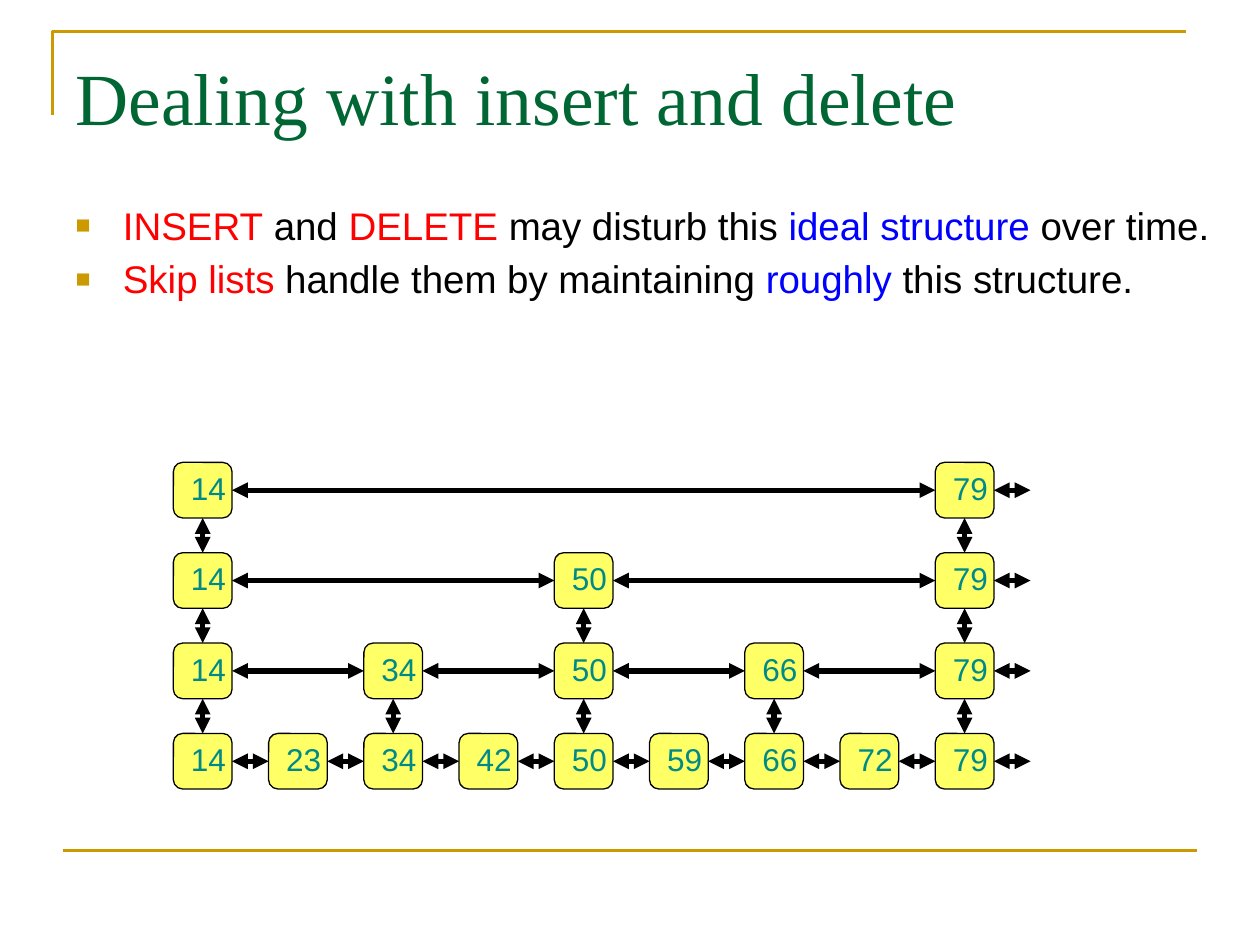
from dataclasses import dataclass

from lxml.etree import SubElement
from pptx import Presentation
from pptx.dml.color import RGBColor
from pptx.enum.shapes import MSO_CONNECTOR, MSO_SHAPE
from pptx.enum.text import MSO_ANCHOR, MSO_AUTO_SIZE, PP_ALIGN
from pptx.oxml.ns import qn
from pptx.shapes.autoshape import Shape
from pptx.shapes.connector import Connector
from pptx.shapes.shapetree import GroupShapes
from pptx.slide import Slide
from pptx.util import Pt

GOLD, GREEN, TEAL, YELLOW = "CC9900", "006633", "008A87", "FFFF66"
BLACK, RED, BLUE = "000000", "FF0000", "0000FF"

# Skip list grid, in points
KEYS = [14, 23, 34, 42, 50, 59, 66, 72, 79]
LEVEL_STRIDES = [8, 4, 2, 1]
GRID_LEFT, GRID_TOP = 99.1, 264.25
COLUMN_STEP, ROW_STEP = 54.42, 51.63
NODE_WIDTH, NODE_HEIGHT = 33.5, 31.75
TAIL_LENGTH = COLUMN_STEP - NODE_WIDTH
TOP, LEFT, BOTTOM, RIGHT = range(4)


@dataclass
class Span:
    text: str
    color: str = BLACK


@dataclass
class Node:
    key: int
    column: int
    row: int

    @property
    def left(self) -> float:
        return GRID_LEFT + self.column * COLUMN_STEP

    @property
    def top(self) -> float:
        return GRID_TOP + self.row * ROW_STEP


BULLETS = [
    [Span("INSERT", RED), Span(" and "), Span("DELETE", RED),
     Span(" may disturb this "), Span("ideal structure", BLUE), Span(" over time.")],
    [Span("Skip lists ", RED), Span("handle them by maintaining "),
     Span("roughly", BLUE), Span(" this structure.")],
]


def rgb(color: str) -> RGBColor:
    return RGBColor.from_string(color)


def add_span(para, span: Span, size: float, font: str = "Arial") -> None:
    run = para.add_run()
    run.text = span.text
    run.font.name, run.font.size = font, Pt(size)
    run.font.color.rgb = rgb(span.color)


def place(box: Shape, left: float, top: float, width: float, height: float) -> None:
    box.left, box.top, box.width, box.height = map(Pt, (left, top, width, height))
    box.text_frame.auto_size = MSO_AUTO_SIZE.NONE


def add_bullet(para) -> None:
    props = para._p.get_or_add_pPr()
    props.set("marL", str(Pt(27)))
    props.set("indent", str(-Pt(27)))
    color = SubElement(props, qn("a:buClr"))
    SubElement(color, qn("a:srgbClr"), val=GOLD)
    SubElement(props, qn("a:buSzPct"), val="65000")
    SubElement(props, qn("a:buFont"), typeface="Arial")
    SubElement(props, qn("a:buChar"), char="■")


def add_line(shapes, start: tuple, end: tuple, color: str, width: float) -> Connector:
    line = shapes.add_connector(MSO_CONNECTOR.STRAIGHT, *map(Pt, start + end))
    line.line.color.rgb = rgb(color)
    line.line.width = Pt(width)
    SubElement(line._element.spPr, qn("a:effectLst"))
    return line


def add_arrow(shapes: GroupShapes, start: tuple, end: tuple) -> Connector:
    arrow = add_line(shapes, start, end, BLACK, 3)
    outline = arrow._element.spPr.find(qn("a:ln"))
    for tip in ("a:headEnd", "a:tailEnd"):
        SubElement(outline, qn(tip), type="triangle")
    return arrow


def add_node(shapes: GroupShapes, node: Node) -> Shape:
    box = shapes.add_shape(MSO_SHAPE.ROUNDED_RECTANGLE, Pt(node.left), Pt(node.top),
                           Pt(NODE_WIDTH), Pt(NODE_HEIGHT))
    box.shadow.inherit = False
    box.fill.solid()
    box.fill.fore_color.rgb = rgb(YELLOW)
    box.line.color.rgb = rgb(BLACK)
    box.line.width = Pt(0.75)
    frame = box.text_frame
    frame.word_wrap = False
    frame.vertical_anchor = MSO_ANCHOR.MIDDLE
    frame.margin_left, frame.margin_right = Pt(8.5), Pt(5)
    para = frame.paragraphs[0]
    para.alignment = PP_ALIGN.LEFT
    para.line_spacing = 0.9
    add_span(para, Span(str(node.key), TEAL), 18)
    return box


def link(shapes: GroupShapes, first: Node, second: Node, boxes: dict) -> None:
    """Join neighbours in a row, or the same key in two rows."""
    middle_x, middle_y = NODE_WIDTH / 2, NODE_HEIGHT / 2
    if first.row == second.row:
        sides = RIGHT, LEFT
        start = first.left + NODE_WIDTH, first.top + middle_y
        end = second.left, second.top + middle_y
    else:
        sides = BOTTOM, TOP
        start = first.left + middle_x, first.top + NODE_HEIGHT
        end = second.left + middle_x, second.top
    arrow = add_arrow(shapes, start, end)
    arrow.begin_connect(boxes[first.row, first.column], sides[0])
    arrow.end_connect(boxes[second.row, second.column], sides[1])


def add_skip_list(page: Slide) -> None:
    shapes = page.shapes.add_group_shape().shapes
    levels = [[Node(KEYS[column], column, row) for column in range(0, len(KEYS), stride)]
              for row, stride in enumerate(LEVEL_STRIDES)]
    boxes = {(node.row, node.column): add_node(shapes, node)
             for level in levels for node in level}

    # Links along each level, with a tail that runs on
    for level in levels:
        for first, second in zip(level, level[1:]):
            link(shapes, first, second, boxes)
        last = level[-1]
        x, y = last.left + NODE_WIDTH, last.top + NODE_HEIGHT / 2
        tail = add_arrow(shapes, (x, y), (x + TAIL_LENGTH, y))
        tail.begin_connect(boxes[last.row, last.column], RIGHT)

    # Links down to the same key one level below
    for level in levels[:-1]:
        for node in level:
            link(shapes, node, Node(node.key, node.column, node.row + 1), boxes)


def add_frame(page: Slide) -> None:
    builder = page.shapes.build_freeform(Pt(30), Pt(66))
    builder.add_line_segments([(Pt(30), Pt(18)), (Pt(678), Pt(18))], close=False)
    corner = builder.convert_to_shape()
    corner.shadow.inherit = False
    corner.fill.background()
    corner.line.color.rgb = rgb(GOLD)
    corner.line.width = Pt(1.5)
    add_line(page.shapes, (36, 486), (684, 486), GOLD, 1.5)


def main() -> None:
    deck = Presentation()
    deck.slide_width, deck.slide_height = Pt(720), Pt(540)
    page = deck.slides.add_slide(deck.slide_layouts[1])
    add_frame(page)

    # Title
    title = page.shapes.title
    place(title, 36, 21.6, 648, 67)
    title.text_frame.vertical_anchor = MSO_ANCHOR.MIDDLE
    para = title.text_frame.paragraphs[0]
    para.alignment = PP_ALIGN.LEFT
    add_span(para, Span("Dealing with insert and delete", GREEN), 42, "Times New Roman")

    # Bullet list
    body = page.placeholders[1]
    place(body, 36, 111.6, 675.5, 97.2)
    for index, spans in enumerate(BULLETS):
        frame = body.text_frame
        para = frame.add_paragraph() if index else frame.paragraphs[0]
        add_bullet(para)
        for span in spans:
            add_span(para, span, 22)

    add_skip_list(page)
    deck.save("out.pptx")


if __name__ == "__main__":
    main()
